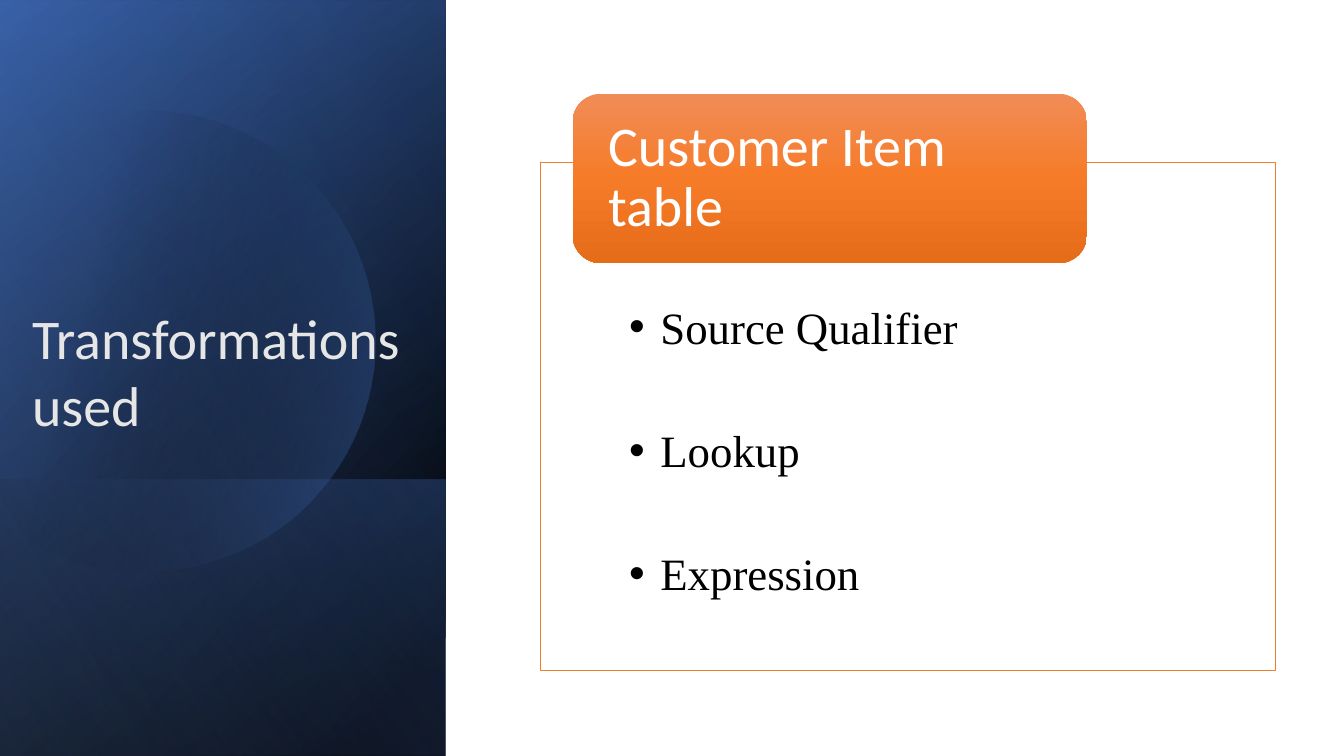
import dataclasses
import typing

import lxml.etree
import pptx
import pptx.dml.color
import pptx.enum.shapes
import pptx.enum.text
import pptx.oxml.ns
import pptx.util

Inches = pptx.util.Inches
Pt = pptx.util.Pt
qn = pptx.oxml.ns.qn
ShapeKind = pptx.enum.shapes.MSO_SHAPE
Anchor = pptx.enum.text.MSO_ANCHOR

COLOURS = {
    "black": "000000",
    "white": "FFFFFF",
    "navy": "2F5597",
    "blue": "4472C4",
    "pale_blue": "8FAADC",
    "title": "E7E6E6",
    "frame": "ED7D31",
    "orange_top": "F18C57",
    "orange_middle": "F67B28",
    "orange_bottom": "E56C19",
}


@dataclasses.dataclass
class Stop:
    position: int
    colour: str
    opacity: int = 100


@dataclasses.dataclass
class Panel:
    left: float
    top: float
    width: float
    height: float
    angle: int
    stops: list[Stop]


class Curve(typing.NamedTuple):
    first: tuple[float, float]
    second: tuple[float, float]
    end: tuple[float, float]


BASE_PANELS = [
    Panel(-1.54, 1.54, 7.5, 4.42, 50, [Stop(8, "black"), Stop(100, "navy")]),
    Panel(-1.54, 1.55, 7.5, 4.42, 30, [Stop(0, "black", 0), Stop(99, "blue", 46)]),
    Panel(0.84, 3.92, 2.74, 4.42, 130, [Stop(2, "blue", 29), Stop(100, "black", 30)]),
]
TOP_PANEL = Panel(-1.54, 1.54, 7.5, 4.42, 120, [Stop(0, "black", 0), Stop(99, "pale_blue", 11)])

DISC_START = (1.49, 1.1)
DISC_RIGHT = [
    Curve((2.46, 1.12), (3.35, 1.77), (3.63, 2.75)),
    Curve((3.98, 3.97), (3.28, 5.23), (2.07, 5.58)),
    Curve((1.31, 5.8), (0.53, 5.61), (-0.03, 5.14)),
]
DISC_EDGE = [(-0.15, 5.03), (-0.15, 1.75), (0, 1.61)]
DISC_LEFT = [
    Curve((0.23, 1.42), (0.5, 1.28), (0.8, 1.19)),
    Curve((1.03, 1.13), (1.26, 1.1), DISC_START),
]


def rgb(name: str) -> pptx.dml.color.RGBColor:
    return pptx.dml.color.RGBColor.from_string(COLOURS[name])


def fill_gradient(shape, stops: list[Stop], angle: int) -> None:
    shape.shadow.inherit = False
    shape.line.fill.background()
    shape.fill.gradient()
    gradient = shape.element.spPr.find(qn("a:gradFill"))
    stop_list = gradient.find(qn("a:gsLst"))
    for old_stop in list(stop_list):
        stop_list.remove(old_stop)
    for stop in stops:
        mark = lxml.etree.SubElement(stop_list, qn("a:gs"), pos=str(stop.position * 1000))
        colour = lxml.etree.SubElement(mark, qn("a:srgbClr"), val=COLOURS[stop.colour])
        if stop.opacity < 100:
            lxml.etree.SubElement(colour, qn("a:alpha"), val=str(stop.opacity * 1000))
    gradient.find(qn("a:lin")).set("ang", str(angle * 60000))


def add_box(page, kind, left: float, top: float, width: float, height: float):
    return page.shapes.add_shape(kind, Inches(left), Inches(top), Inches(width), Inches(height))


def add_panel(page, panel: Panel) -> None:
    box = add_box(page, ShapeKind.RECTANGLE, panel.left, panel.top, panel.width, panel.height)
    box.rotation = 90
    box.element.spPr.find(qn("a:xfrm")).set("flipH", "1")
    fill_gradient(box, panel.stops, panel.angle)


def trace(start: tuple[float, float], curves: list[Curve], steps: int = 24) -> list[tuple[float, float]]:
    points = []
    for curve in curves:
        for step in range(1, steps + 1):
            t = step / steps
            weights = ((1 - t) ** 3, 3 * t * (1 - t) ** 2, 3 * t**2 * (1 - t), t**3)
            controls = (start, *curve)
            points.append(tuple(sum(w * c[axis] for w, c in zip(weights, controls)) for axis in (0, 1)))
        start = curve.end
    return points


def add_disc(page) -> None:
    points = trace(DISC_START, DISC_RIGHT) + DISC_EDGE + trace(DISC_EDGE[-1], DISC_LEFT)
    builder = page.shapes.build_freeform(Inches(DISC_START[0]), Inches(DISC_START[1]))
    builder.add_line_segments([(Inches(x), Inches(y)) for x, y in points], close=True)
    disc = builder.convert_to_shape()
    fill_gradient(disc, [Stop(29, "black", 0), Stop(100, "blue", 43)], 14)


def write_text(
    box,
    lines: list[str],
    *,
    size: float,
    colour: str,
    font: str = "Calibri",
    anchor=Anchor.TOP,
    insets: tuple[float, float, float, float] = (0.1, 0.05, 0.1, 0.05),
    line_spacing: float = 1.0,
    space_before: float = 0,
    bullet_indent: float = 0,
) -> None:
    frame = box.text_frame
    frame.word_wrap = True
    frame.vertical_anchor = anchor
    frame.margin_left, frame.margin_top, frame.margin_right, frame.margin_bottom = map(Inches, insets)
    for index, line in enumerate(lines):
        para = frame.paragraphs[0] if index == 0 else frame.add_paragraph()
        para.alignment = pptx.enum.text.PP_ALIGN.LEFT
        para.line_spacing = line_spacing
        para.space_before = Pt(space_before if index else 0)
        if bullet_indent:
            properties = para._p.get_or_add_pPr()
            properties.set("marL", str(Inches(bullet_indent)))
            properties.set("indent", str(-Inches(bullet_indent)))
            lxml.etree.SubElement(properties, qn("a:buFont"), typeface="Arial")
            lxml.etree.SubElement(properties, qn("a:buChar"), char="•")
        span = para.add_run()
        span.text = line
        span.font.name = font
        span.font.size = Pt(size)
        span.font.color.rgb = rgb(colour)


def add_text(page, left: float, top: float, width: float, height: float, lines: list[str], **style) -> None:
    box = page.shapes.add_textbox(Inches(left), Inches(top), Inches(width), Inches(height))
    write_text(box, lines, **style)


def main() -> None:
    deck = pptx.Presentation()
    deck.slide_width, deck.slide_height = Inches(13.33), Inches(7.5)
    page = deck.slides.add_slide(deck.slide_layouts[6])

    for panel in BASE_PANELS:
        add_panel(page, panel)
    add_disc(page)
    add_panel(page, TOP_PANEL)

    frame = add_box(page, ShapeKind.RECTANGLE, 5.36, 1.61, 7.29, 5.04)
    frame.shadow.inherit = False
    frame.fill.solid()
    frame.fill.fore_color.rgb = rgb("white")
    frame.line.color.rgb = rgb("frame")
    frame.line.width = Pt(0.5)

    add_text(page, 6.24, 2.97, 5.84, 3.4, ["Source Qualifier", "Lookup", "Expression"],
             size=32, colour="black", font="Times New Roman", insets=(0, 0, 0, 0),
             space_before=49.6, bullet_indent=0.31)

    header = add_box(page, ShapeKind.ROUNDED_RECTANGLE, 5.68, 0.93, 5.1, 1.68)
    fill_gradient(header, [Stop(0, "orange_top"), Stop(50, "orange_middle"), Stop(100, "orange_bottom")], 90)
    write_text(header, ["Customer Item table"], size=40, colour="white", anchor=Anchor.MIDDLE,
               insets=(0.27, 0, 0.4, 0), line_spacing=0.9)

    add_text(page, 0.22, 2.96, 3.91, 1.45, ["Transformations", "used"], size=40, colour="title")
    deck.save("out.pptx")


if __name__ == "__main__":
    main()
